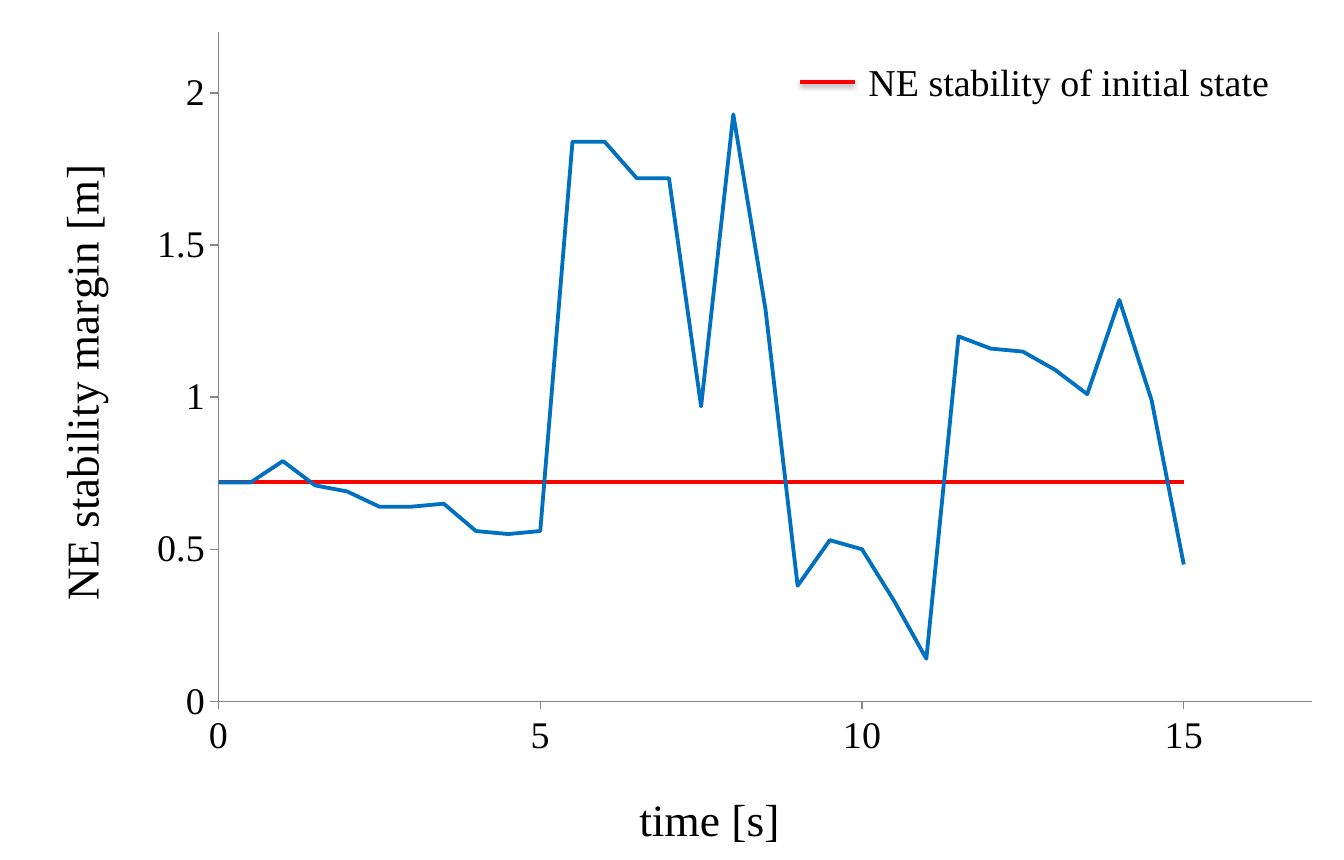
from dataclasses import dataclass

from lxml import etree
from pptx import Presentation
from pptx.chart.axis import ValueAxis
from pptx.chart.chart import Chart
from pptx.chart.data import XyChartData
from pptx.dml.color import RGBColor
from pptx.enum.chart import XL_CHART_TYPE, XL_TICK_MARK
from pptx.enum.shapes import MSO_CONNECTOR
from pptx.enum.text import MSO_AUTO_SIZE
from pptx.oxml import parse_xml
from pptx.oxml.ns import nsdecls, qn
from pptx.slide import Slide
from pptx.util import Inches, Pt

SCATTER_LINES = XL_CHART_TYPE.XY_SCATTER_LINES_NO_MARKERS
TICK_OUTSIDE, TICK_NONE = XL_TICK_MARK.OUTSIDE, XL_TICK_MARK.NONE
STRAIGHT = MSO_CONNECTOR.STRAIGHT
FIT_SHAPE = MSO_AUTO_SIZE.SHAPE_TO_FIT_TEXT

BLACK = RGBColor(0x00, 0x00, 0x00)
BLUE = RGBColor(0x00, 0x70, 0xC0)
RED = RGBColor(0xFF, 0x00, 0x00)
GRAY = RGBColor(0x86, 0x86, 0x86)
SERIF = "Times New Roman"
LINE_WIDTH = Pt(2)
TIME_STEP = 0.5
MARGINS = [
    0.72, 0.72, 0.79, 0.71, 0.69, 0.64, 0.64, 0.65, 0.56, 0.55, 0.56,
    1.84, 1.84, 1.72, 1.72, 0.97, 1.93, 1.29, 0.38, 0.53, 0.5,
    0.33, 0.14, 1.2, 1.16, 1.15, 1.09, 1.01, 1.32, 0.99, 0.45,
]


@dataclass(frozen=True)
class Curve:
    name: str
    values: list[float]
    color: RGBColor


@dataclass(frozen=True)
class AxisStyle:
    title: str
    title_left: float
    title_top: float
    rotation: int
    maximum: float
    major_unit: float


CURVES = [
    Curve("Series 1", MARGINS, BLUE),
    Curve("Series 2", [MARGINS[0]] * len(MARGINS), RED),
]
TIME_AXIS = AxisStyle("time [s]", 0.47, 0.92, 0, 17, 5)
MARGIN_AXIS = AxisStyle("NE stability margin [m]", 0.04, 0.19, -90, 2.2, 0.5)


def set_font(font, size: int) -> None:
    formats = {"name": SERIF, "size": Pt(size), "bold": False}
    for attribute, value in formats.items():
        setattr(font, attribute, value)
    font.color.rgb = BLACK


def manual_layout(**settings):
    """Return a chart layout element with the given settings in schema order."""
    layout = parse_xml(f"<c:layout {nsdecls('c')}><c:manualLayout/></c:layout>")
    for name, value in settings.items():
        etree.SubElement(layout[0], qn(f"c:{name}")).set("val", str(value))
    return layout


def format_axis(axis: ValueAxis, style: AxisStyle) -> None:
    formats = {
        "minimum_scale": 0,
        "maximum_scale": style.maximum,
        "major_unit": style.major_unit,
        "has_major_gridlines": False,
        "major_tick_mark": TICK_OUTSIDE,
        "minor_tick_mark": TICK_NONE,
    }
    for attribute, value in formats.items():
        setattr(axis, attribute, value)
    axis.format.line.color.rgb = GRAY
    axis.format.line.width = Pt(0.75)
    set_font(axis.tick_labels.font, 20)

    frame = axis.axis_title.text_frame
    frame.text = style.title
    set_font(frame.paragraphs[0].runs[0].font, 24)
    title = axis.axis_title._element
    body = title.find(".//" + qn("a:bodyPr"))
    body.set("rot", str(style.rotation * 60000))
    body.set("vert", "horz")
    for layout in title.findall(qn("c:layout")):
        title.remove(layout)
    title.find(qn("c:tx")).addnext(manual_layout(
        xMode="edge", yMode="edge", x=style.title_left, y=style.title_top))


def place_plot(chart: Chart) -> None:
    plot_area = chart._chartSpace.find(".//" + qn("c:plotArea"))
    for layout in plot_area.findall(qn("c:layout")):
        plot_area.remove(layout)
    plot_area.insert(0, manual_layout(
        layoutTarget="inner", xMode="edge", yMode="edge",
        x=0.168, y=0.038, w=0.801, h=0.787))


def add_stability_chart(slide: Slide) -> None:
    data = XyChartData()
    for curve in CURVES:
        series = data.add_series(curve.name)
        for index, value in enumerate(curve.values):
            series.add_data_point(index * TIME_STEP, value)
    chart = slide.shapes.add_chart(
        SCATTER_LINES, Inches(-0.08), 0, Inches(10), Inches(6.3), data).chart
    chart.has_title = False
    chart.has_legend = False
    chart.font.name = "Calibri"
    chart.font.size = Pt(10)
    chart.font.color.rgb = BLACK
    plot = chart.plots[0]
    plot.vary_by_categories = False
    for series, curve in zip(plot.series, CURVES):
        series.smooth = False
        series.format.line.color.rgb = curve.color
        series.format.line.width = LINE_WIDTH
    format_axis(chart.category_axis, TIME_AXIS)
    format_axis(chart.value_axis, MARGIN_AXIS)
    place_plot(chart)


def add_key(slide: Slide) -> None:
    """Add the grouped red line and label that explain the constant curve."""
    group = slide.shapes.add_group_shape()
    label = group.shapes.add_textbox(
        Inches(6.26), Inches(0.38), Inches(3.15), Inches(0.44))
    frame = label.text_frame
    frame.word_wrap = False
    frame.auto_size = FIT_SHAPE
    frame.text = "NE stability of initial state"
    set_font(frame.paragraphs[0].runs[0].font, 20)

    line = group.shapes.add_connector(
        STRAIGHT, Inches(5.86), Inches(0.6), Inches(6.26), Inches(0.6))
    line.line.color.rgb = RED
    line.line.width = LINE_WIDTH
    line._element.spPr.append(parse_xml(
        f"<a:effectLst {nsdecls('a')}>"
        f'<a:outerShdw blurRad="{Pt(3.1)}" dist="{Pt(1.6)}" dir="5400000" rotWithShape="0">'
        '<a:srgbClr val="000000"><a:alpha val="38000"/></a:srgbClr>'
        "</a:outerShdw></a:effectLst>"))


def main() -> None:
    presentation = Presentation()
    presentation.slide_width = Inches(9.84)
    presentation.slide_height = Inches(6.3)
    slide = presentation.slides.add_slide(presentation.slide_layouts.get_by_name("Blank"))
    add_stability_chart(slide)
    add_key(slide)
    presentation.save("out.pptx")


if __name__ == "__main__":
    main()
